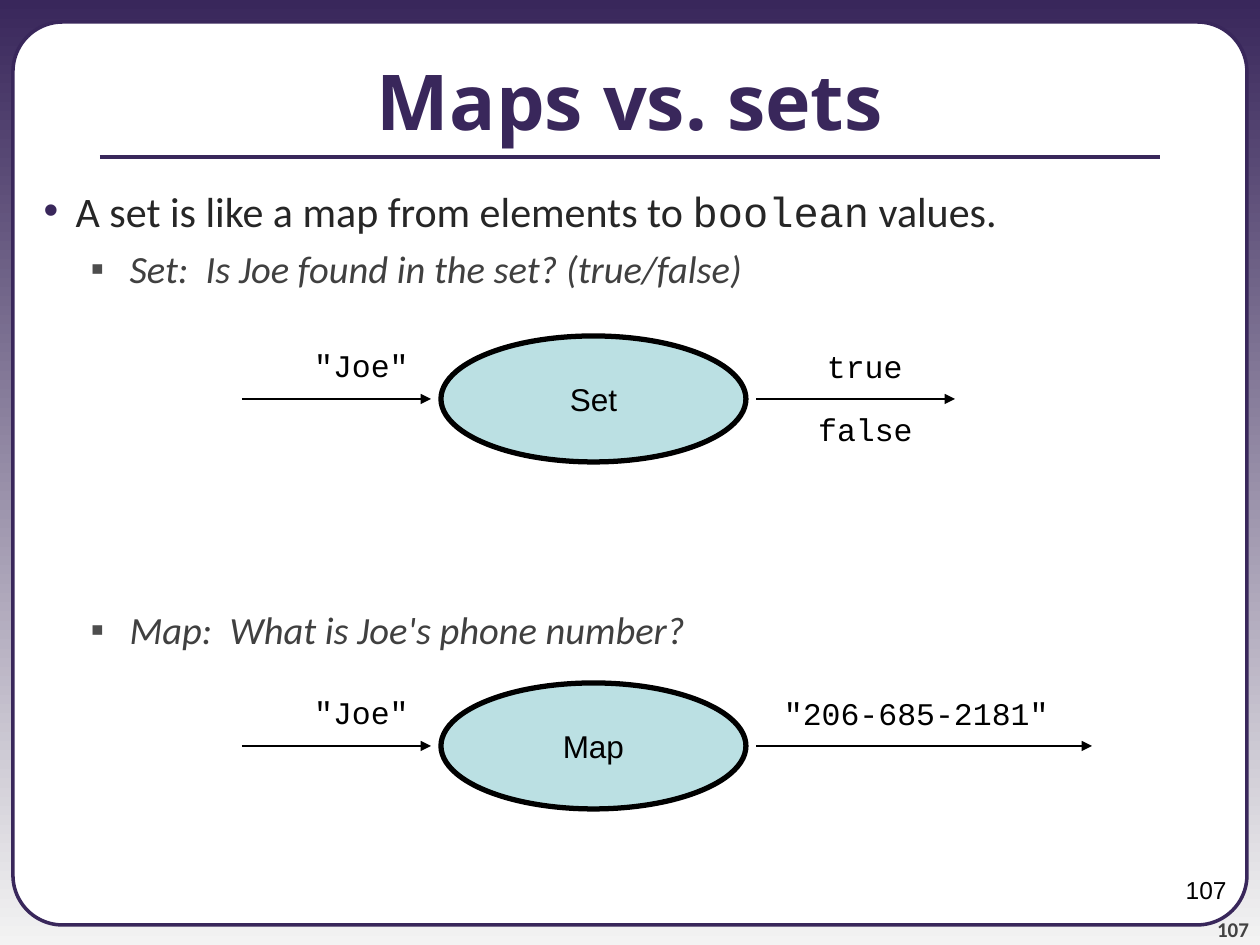
from lxml.etree import SubElement
from pptx import Presentation
from pptx.dml.color import RGBColor
from pptx.enum.shapes import MSO_CONNECTOR, MSO_SHAPE
from pptx.enum.text import MSO_ANCHOR, MSO_AUTO_SIZE, PP_ALIGN
from pptx.oxml.ns import qn
from pptx.util import Emu, Pt

PURPLE = RGBColor(0x39, 0x27, 0x5B)
PALE = RGBColor(0xF3, 0xF3, 0xF3)
WHITE = RGBColor(0xFF, 0xFF, 0xFF)
BLACK = RGBColor(0x00, 0x00, 0x00)
TEAL = RGBColor(0xBB, 0xE0, 0xE3)
INK = RGBColor(0x26, 0x26, 0x26)
GRAY = RGBColor(0x40, 0x40, 0x40)
FOOTER = RGBColor(0x42, 0x42, 0x42)
BULLET = RGBColor(0x4D, 0x4D, 0x4D)
PX_PER_INCH = 126


def px(length):
    return Emu(round(length * 914400 / PX_PER_INCH))


def write(para, text, font="Arial", size=18, color=BLACK, bold=False, italic=False):
    span = para.add_run()
    span.text = text
    span.font.name = font
    span.font.size = Pt(size)
    span.font.color.rgb = color
    span.font.bold = bold
    span.font.italic = italic


def set_bullet(para, mark, color, left, hanging):
    props = para._p.get_or_add_pPr()
    props.set("marL", str(px(left)))
    props.set("indent", str(-px(hanging)))
    tint = SubElement(props, qn("a:buClr"))
    SubElement(tint, qn("a:srgbClr"), val=str(color))
    SubElement(props, qn("a:buFont"), typeface="Arial")
    SubElement(props, qn("a:buChar"), char=mark)


class SlideBuilder:
    mono = "Courier New"
    body_font = "Calibri"

    def __init__(self, deck):
        self.page = deck.slides.add_slide(deck.slide_layouts[1])
        self.shapes = self.page.shapes

    def background(self, top_color, bottom_color):
        fill = self.page.background.fill
        fill.gradient()
        fill.gradient_angle = 270
        for stop, color in zip(fill.gradient_stops, (top_color, bottom_color)):
            stop.color.rgb = color

    def shape(self, kind, left, top, width, height, fill, line, weight):
        shape = self.shapes.add_shape(kind, px(left), px(top), px(width), px(height))
        shape.shadow.inherit = False
        shape.fill.solid()
        shape.fill.fore_color.rgb = fill
        shape.line.color.rgb = line
        shape.line.width = Pt(weight)
        return shape

    def card(self, left, top, width, height):
        card = self.shape(MSO_SHAPE.ROUNDED_RECTANGLE, left, top, width, height,
                          WHITE, PURPLE, 2)
        card.adjustments[0] = 0.055
        self.shapes.title.element.addprevious(card.element)

    def line(self, left, right, y, color=BLACK, weight=0.75, arrow=True):
        line = self.shapes.add_connector(
            MSO_CONNECTOR.STRAIGHT, px(left), px(y), px(right), px(y))
        line.line.color.rgb = color
        line.line.width = Pt(weight)
        if arrow:
            SubElement(line.line._get_or_add_ln(), qn("a:tailEnd"), type="triangle")
        SubElement(line.element.spPr, qn("a:effectLst"))
        return line

    def text(self, text, left, top, width, height, align=PP_ALIGN.RIGHT, **style):
        box = self.shapes.add_textbox(px(left), px(top), px(width), px(height))
        para = box.text_frame.paragraphs[0]
        para.alignment = align
        write(para, text, **style)
        return box

    def label(self, text, left, top, width):
        box = self.text(text, left, top, width, 50, font=self.mono)
        box.text_frame.word_wrap = False
        box.text_frame.auto_size = MSO_AUTO_SIZE.SHAPE_TO_FIT_TEXT

    def placeholder(self, holder, left, top, width, height, anchor):
        holder.left, holder.top = px(left), px(top)
        holder.width, holder.height = px(width), px(height)
        frame = holder.text_frame
        frame.auto_size = MSO_AUTO_SIZE.NONE
        frame.vertical_anchor = anchor
        return frame

    def title(self, text):
        frame = self.placeholder(self.shapes.title, 0, 21, 1260, 158, MSO_ANCHOR.MIDDLE)
        para = frame.paragraphs[0]
        para.alignment = PP_ALIGN.CENTER
        write(para, text, font="Noto Sans", size=44, color=PURPLE, bold=True)

    def body(self, lead, details):
        frame = self.placeholder(self.page.placeholders[1], 0, 179, 1260, 766, MSO_ANCHOR.TOP)
        para = frame.paragraphs[0]
        para.space_before = Pt(0)
        set_bullet(para, "•", PURPLE, 63, 32)
        for text, font in lead:
            write(para, text, font=font, size=24, color=INK)
        for text, space in details:
            para = frame.add_paragraph()
            para.level = 1
            para.space_before = Pt(space)
            set_bullet(para, "▪", BULLET, 117, 39)
            write(para, text, font=self.body_font, size=22, color=GRAY, italic=True)

    def diagram(self, name, top, arrow_end):
        middle = top + 63
        oval = self.shape(MSO_SHAPE.OVAL, 441, top, 305, 126, TEAL, BLACK, 3)
        frame = oval.text_frame
        frame.word_wrap = False
        frame.vertical_anchor = MSO_ANCHOR.MIDDLE
        frame.paragraphs[0].alignment = PP_ALIGN.CENTER
        write(frame.paragraphs[0], name)
        self.line(242, 431, middle)
        self.label('"Joe"', 301, top + 4, 120)
        self.line(756, arrow_end, middle)


def main():
    deck = Presentation()
    deck.slide_width, deck.slide_height = px(1260), px(945)
    slide = SlideBuilder(deck)
    slide.background(PURPLE, PALE)
    slide.card(13, 22, 1234, 903)
    slide.title("Maps vs. sets")
    slide.line(100, 1160, 157, PURPLE, 2.25, arrow=False)
    slide.body(
        [("A set is like a map from elements to ", slide.body_font),
         ("boolean", slide.mono),
         (" values.", slide.body_font)],
        [("Set:  Is Joe found in the set? (true/false)", 5.5),
         ("Map:  What is Joe's phone number?", 180)])
    slide.diagram("Set", 336, 955)
    slide.label("true", 814, 341, 101)
    slide.label("false", 805, 404, 120)
    slide.diagram("Map", 683, 1092)
    slide.label('"206-685-2181"', 771, 688, 290)
    slide.text("107", 945, 869, 294, 66, size=14)
    footer = slide.text("107", 1144, 892, 105, 50, font=slide.body_font,
                        size=12, color=FOOTER, bold=True).text_frame
    footer.margin_left = footer.margin_right = 0
    footer.margin_top = footer.margin_bottom = 0
    footer.vertical_anchor = MSO_ANCHOR.BOTTOM
    deck.save("out.pptx")


if __name__ == "__main__":
    main()
